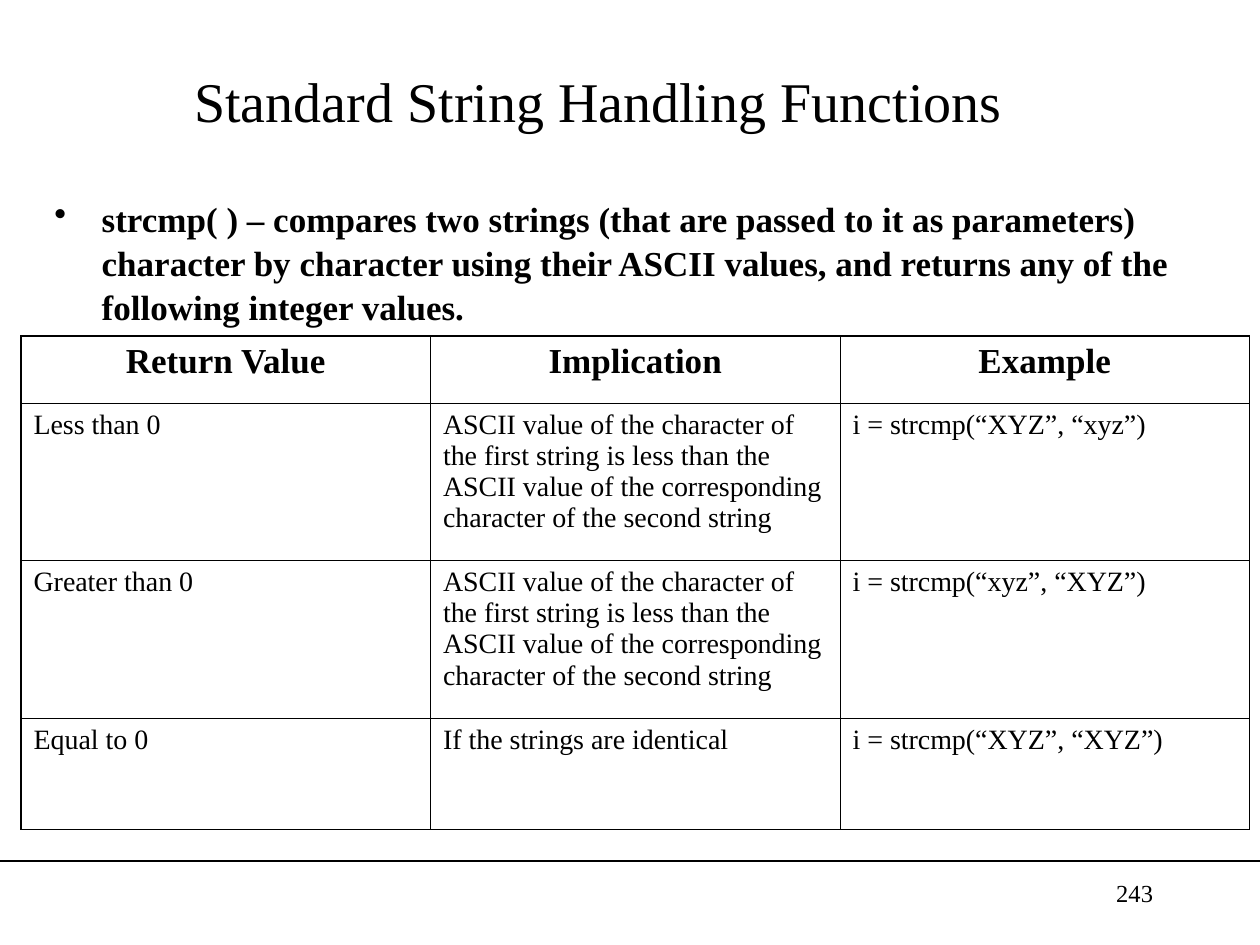
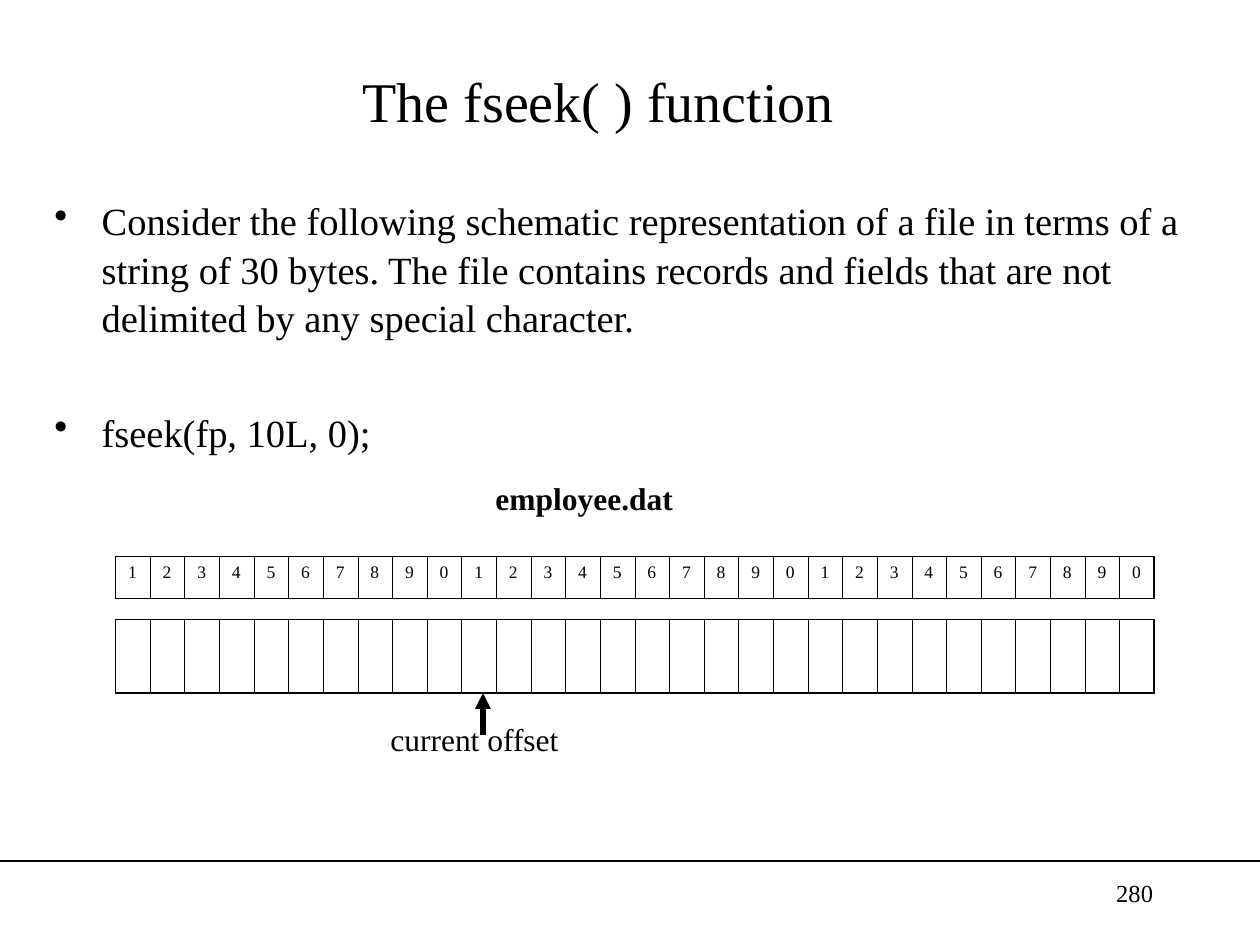
from lxml.etree import SubElement
from pptx import Presentation
from pptx.dml.color import RGBColor
from pptx.enum.shapes import MSO_CONNECTOR
from pptx.enum.text import MSO_ANCHOR, PP_ALIGN
from pptx.oxml.ns import qn
from pptx.util import Pt

PX = 9525
INK = "000000"
FONT = "Times New Roman"
OUTER, INNER = 1.08, 0.45


def write(frame, lines, size, bold=False, align=PP_ALIGN.LEFT, bullet=False, spacing=None, gap=0):
    frame.word_wrap = True
    frame.text = "\n".join(lines)
    for position, paragraph in enumerate(frame.paragraphs):
        paragraph.alignment = align
        paragraph.line_spacing = spacing
        if position:
            paragraph.space_before = Pt(gap)
        if bullet:
            properties = paragraph._p.get_or_add_pPr()
            properties.set("marL", str(36 * PX))
            properties.set("indent", str(-36 * PX))
            SubElement(properties, qn("a:buChar")).set("char", "•")
        for run in paragraph.runs:
            run.font.name = FONT
            run.font.size = Pt(size)
            run.font.bold = bold
            run.font.color.rgb = RGBColor.from_string(INK)


def add_grid(slide, left, top, width, heights, columns):
    rows = len(heights)
    box = [length * PX for length in (left, top, width, sum(heights))]
    grid = slide.shapes.add_table(rows, columns, *box).table
    grid.first_row = grid.horz_banding = False
    for row, height in zip(grid.rows, heights):
        row.height = height * PX
    for column in grid.columns:
        column.width = width * PX // columns
    for r in range(rows):
        for c in range(columns):
            cell = grid.cell(r, c)
            properties = cell._tc.get_or_add_tcPr()
            edges = {"L": c == 0, "R": c == columns - 1, "T": r == 0, "B": r == rows - 1}
            for side, outside in edges.items():
                border = SubElement(properties, qn(f"a:ln{side}"))
                border.set("w", str(Pt(OUTER if outside else INNER)))
                fill = SubElement(border, qn("a:solidFill"))
                SubElement(fill, qn("a:srgbClr")).set("val", INK)
            cell.fill.background()
    return grid


presentation = Presentation()
presentation.slide_width = 960 * PX
presentation.slide_height = 720 * PX
blank = presentation.slide_layouts[6]

compare_slide = presentation.slides.add_slide(blank)
seek_slide = presentation.slides.add_slide(blank)

compare_points = [
    "strcmp( ) – compares two strings (that are passed to it as parameters) character by character "
    "using their ASCII values, and returns any of the following integer values."
]
seek_points = [
    "Consider the following schematic representation of a file in terms of a string of 30 bytes. "
    "The file contains records and fields that are not delimited by any special character.",
    "fseek(fp, 10L, 0);",
]
body_style = {"bullet": True, "spacing": 1.05, "gap": 37.5}
title_style = {"size": 32, "align": PP_ALIGN.CENTER}
number_style = {"size": 14, "align": PP_ALIGN.RIGHT}
title_box = (48, 24, 816, 104)
number_box = (688, 664, 200, 48)

texts = [
    (compare_slide, title_box, ["Standard String Handling Functions"], title_style),
    (compare_slide, (32, 144, 880, 144), compare_points, {"size": 20, "bold": True, **body_style}),
    (compare_slide, number_box, ["243"], number_style),
    (seek_slide, title_box, ["The fseek( ) function"], title_style),
    (seek_slide, (32, 144, 888, 208), seek_points, {"size": 22, **body_style}),
    (seek_slide, (288, 544, 168, 38), ["current offset"], {"size": 18}),
    (seek_slide, (368, 360, 168, 38), ["employee.dat"], {"size": 18, "bold": True}),
    (seek_slide, number_box, ["280"], number_style),
]
for slide, box, lines, style in texts:
    frame = slide.shapes.add_textbox(*[length * PX for length in box]).text_frame
    write(frame, lines, **style)
    if box == title_box:
        frame.vertical_anchor = MSO_ANCHOR.MIDDLE

strokes = [
    (compare_slide, (0, 656, 960, 656), 0.75, False),
    (seek_slide, (0, 656, 960, 656), 0.75, False),
    (seek_slide, (368, 560, 368, 528), 3, True),
]
for slide, ends, weight, pointed in strokes:
    stroke = slide.shapes.add_connector(MSO_CONNECTOR.STRAIGHT, *[length * PX for length in ends])
    stroke.line.color.rgb = RGBColor.from_string(INK)
    stroke.line.width = Pt(weight)
    if pointed:
        SubElement(stroke.line._get_or_add_ln(), qn("a:tailEnd")).set("type", "triangle")
    SubElement(stroke._element.spPr, qn("a:effectLst"))

difference = (
    "ASCII value of the character of the first string is less than the ASCII value "
    "of the corresponding character of the second string"
)
outcomes = [
    ("Return Value", "Implication", "Example"),
    ("Less than 0", difference, "i = strcmp(“XYZ”, “xyz”)"),
    ("Greater than 0", difference, "i = strcmp(“xyz”, “XYZ”)"),
    ("Equal to 0", "If the strings are identical", "i = strcmp(“XYZ”, “XYZ”)"),
]
outcome_grid = add_grid(compare_slide, 16, 256, 936, [51, 120, 120, 85], 3)
for r, outcome in enumerate(outcomes):
    for c, text in enumerate(outcome):
        frame = outcome_grid.cell(r, c).text_frame
        if r == 0:
            write(frame, [text], 20, bold=True, align=PP_ALIGN.CENTER)
        else:
            write(frame, [text], 16)

add_grid(seek_slide, 88, 472, 792, [56], 30)
position_grid = add_grid(seek_slide, 88, 424, 792, [32], 30)
for c in range(30):
    write(position_grid.cell(0, c).text_frame, [str((c + 1) % 10)], 10)

presentation.save("out.pptx")
